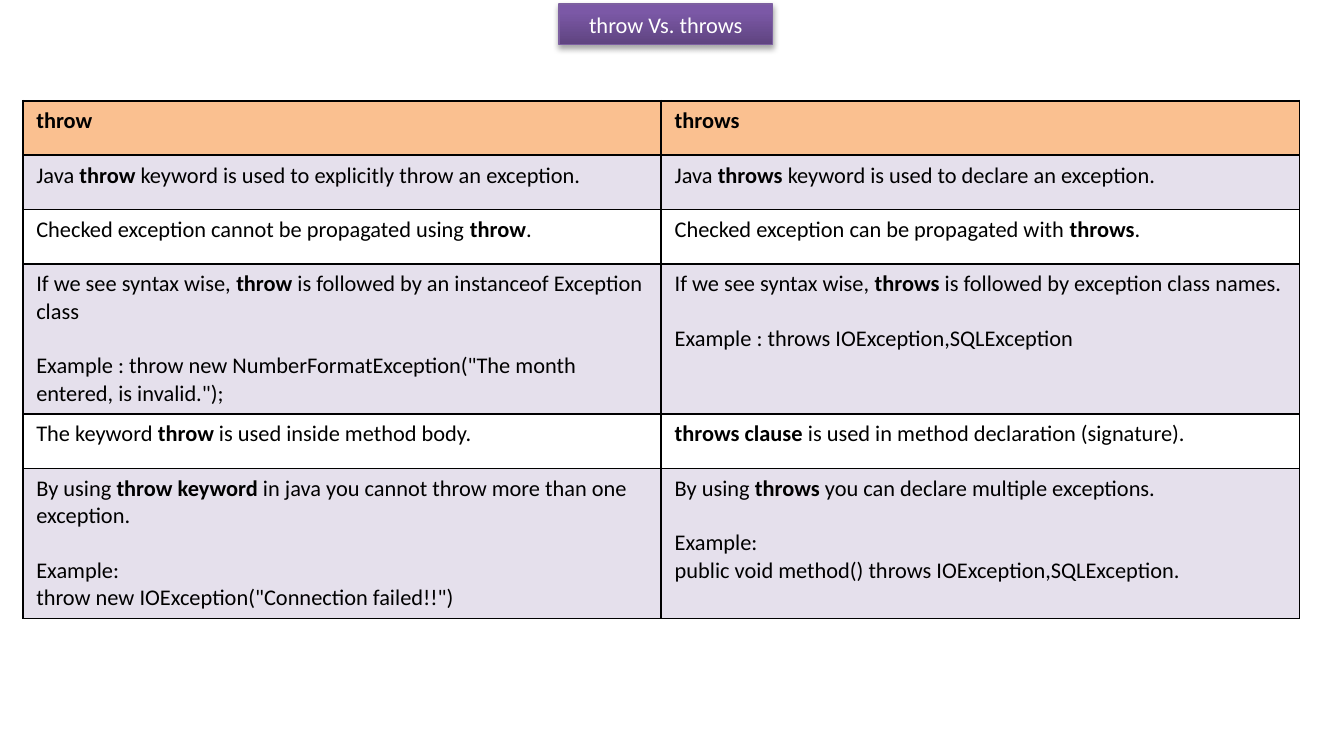
from dataclasses import dataclass

import pptx
import pptx.dml.color
import pptx.enum.text
import pptx.oxml
import pptx.oxml.ns
import pptx.util
from lxml import etree

EMU_PER_PX = 4572
FONT = "Calibri"
LAVENDER = "8064A2"
BORDER = "000000"


@dataclass(frozen=True)
class Comparison:
    throw: tuple[str, ...]
    throws: tuple[str, ...]
    height: int = 81
    fill: str | None = None
    opacity: int = 100
    gap_before: int = 0


COMPARISONS = [
    Comparison(("*throw*",), ("*throws*",), fill="FAC090"),
    Comparison(
        ("Java *throw* keyword is used to explicitly throw an exception.",),
        ("Java *throws* keyword is used to declare an exception.",),
        fill=LAVENDER, opacity=20,
    ),
    Comparison(
        ("Checked exception cannot be propagated using *throw*.",),
        ("Checked exception can be propagated with *throws*.",),
    ),
    Comparison(
        ("If we see syntax wise, *throw* is followed by an instanceof Exception class",
         'Example : throw new NumberFormatException("The month entered, is invalid.");'),
        ("If we see syntax wise, *throws* is followed by exception class names.",
         "Example : throws IOException,SQLException"),
        height=220, fill=LAVENDER, opacity=20, gap_before=1,
    ),
    Comparison(
        ("The keyword *throw* is used inside method body.",),
        ("*throws clause* is used in method declaration (signature).",),
    ),
    Comparison(
        ("By using *throw keyword* in java you cannot throw more than one exception.",
         "Example:", 'throw new IOException("Connection failed!!")'),
        ("By using *throws* you can declare multiple exceptions.",
         "Example:", "public void method() throws IOException,SQLException."),
        height=220, fill=LAVENDER, opacity=20, gap_before=1,
    ),
]


def px(length: int) -> int:
    return pptx.util.Emu(length * EMU_PER_PX)


def color(value: str) -> pptx.dml.color.RGBColor:
    return pptx.dml.color.RGBColor.from_string(value)


def set_font(paragraph, ink: str) -> None:
    paragraph.font.name = FONT
    paragraph.font.size = pptx.util.Pt(12)
    paragraph.font.color.rgb = color(ink)


def add_heading(slide, text: str) -> None:
    heading = slide.shapes.title
    heading.left, heading.top, heading.width, heading.height = map(px, (832, 6, 318, 60))
    heading.fill.gradient()
    heading.fill.gradient_angle = 90
    for stop, position, shade in zip(heading.fill.gradient_stops, (0, 0.8), ("5F4480", "7B58A6")):
        stop.position = position
        stop.color.rgb = color(shade)
    heading.line.color.rgb = color("7D60A0")
    heading.line.width = pptx.util.Pt(0.75)
    heading._element.spPr.append(pptx.oxml.parse_xml(
        f'<a:effectLst {pptx.oxml.ns.nsdecls("a")}>'
        '<a:outerShdw blurRad="39370" dist="22860" dir="5400000" rotWithShape="0">'
        '<a:srgbClr val="000000"><a:alpha val="35000"/></a:srgbClr>'
        '</a:outerShdw></a:effectLst>'
    ))
    heading.text_frame.text = text
    heading.text_frame.word_wrap = True
    heading.text_frame.auto_size = pptx.enum.text.MSO_AUTO_SIZE.NONE
    heading.text_frame.vertical_anchor = pptx.enum.text.MSO_ANCHOR.MIDDLE
    paragraph = heading.text_frame.paragraphs[0]
    paragraph.alignment = pptx.enum.text.PP_ALIGN.CENTER
    set_font(paragraph, "FFFFFF")


def add_borders(cell) -> None:
    properties = cell._tc.get_or_add_tcPr()
    for side in ("lnL", "lnR", "lnT", "lnB"):
        properties.append(pptx.oxml.parse_xml(
            f'<a:{side} {pptx.oxml.ns.nsdecls("a")} w="12700"><a:solidFill>'
            f'<a:srgbClr val="{BORDER}"/></a:solidFill></a:{side}>'
        ))


def fill_cell(cell, fill: str | None, opacity: int) -> None:
    if fill is None:
        cell.fill.background()
        return
    cell.fill.solid()
    cell.fill.fore_color.rgb = color(fill)
    if opacity < 100:
        shade = cell._tc.tcPr.find(
            f'{pptx.oxml.ns.qn("a:solidFill")}/{pptx.oxml.ns.qn("a:srgbClr")}'
        )
        etree.SubElement(shade, pptx.oxml.ns.qn("a:alpha"), val=str(opacity * 1000))


def write_cell(cell, lines: tuple[str, ...], gap_before: int) -> None:
    for index, line in enumerate(lines):
        paragraph = cell.text_frame.paragraphs[0] if index == 0 else cell.text_frame.add_paragraph()
        if index and index == gap_before:
            paragraph.space_before = pptx.util.Pt(14.65)
        set_font(paragraph, "000000")
        for part, words in enumerate(line.split("*")):
            if words:
                run = paragraph.add_run()
                run.text = words
                run.font.bold = part % 2 == 1


def add_comparison_table(slide, comparisons: list[Comparison]) -> None:
    total_height = sum(comparison.height for comparison in comparisons)
    table = slide.shapes.add_table(
        len(comparisons), 2, px(34), px(150), px(1900), px(total_height)
    ).table
    table.first_row = False
    table.horz_banding = False
    for row, comparison in zip(table.rows, comparisons):
        row.height = px(comparison.height)
        for cell, lines in zip(row.cells, (comparison.throw, comparison.throws)):
            add_borders(cell)
            fill_cell(cell, comparison.fill, comparison.opacity)
            write_cell(cell, lines, comparison.gap_before)


def main() -> None:
    presentation = pptx.Presentation()
    presentation.slide_width, presentation.slide_height = px(2000), px(1100)
    slide = presentation.slides.add_slide(presentation.slide_layouts[5])
    add_heading(slide, "throw Vs. throws")
    add_comparison_table(slide, COMPARISONS)
    presentation.save("out.pptx")


if __name__ == "__main__":
    main()
